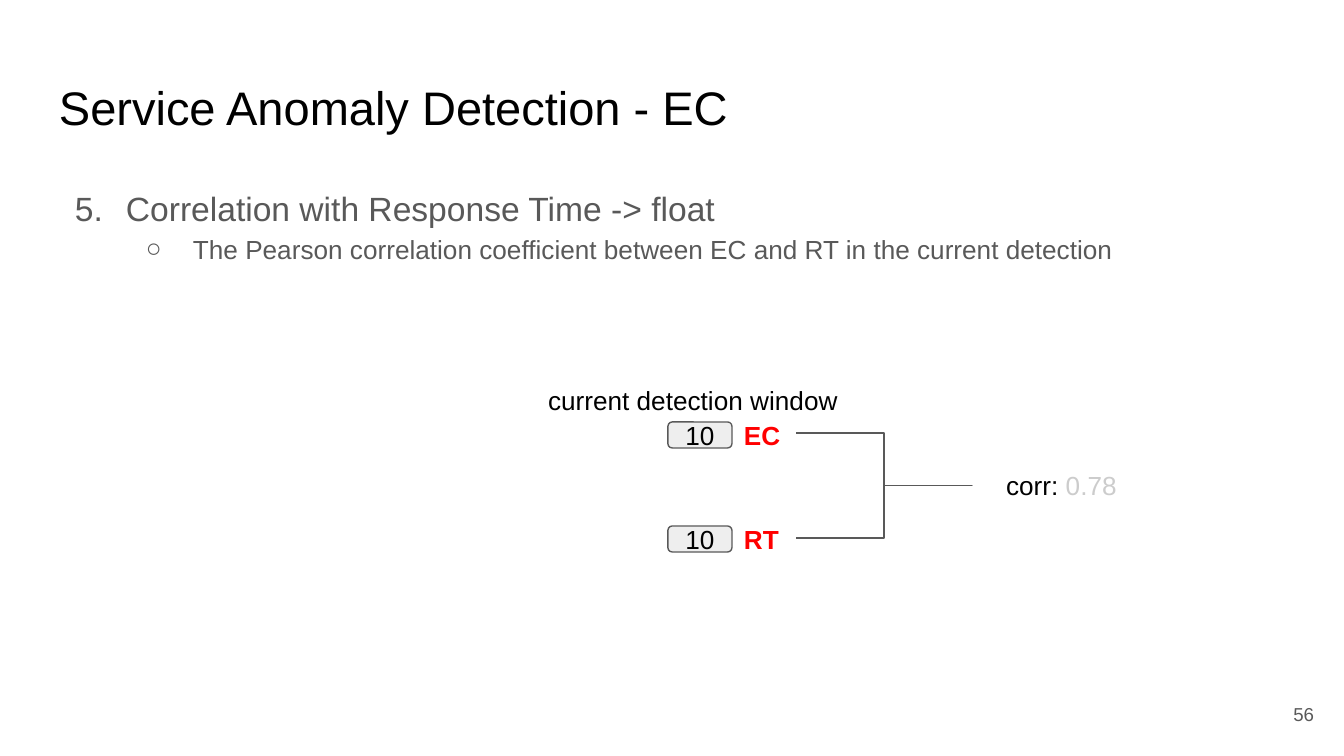
from lxml.etree import SubElement
from pptx import Presentation
from pptx.dml.color import RGBColor
from pptx.enum.shapes import MSO_SHAPE as Shape
from pptx.enum.text import MSO_ANCHOR as Anchor, PP_ALIGN as Align
from pptx.oxml.ns import qn
from pptx.util import Emu, Pt

BLACK, GRAY, PALE, BOX_FILL, RED = "000000", "595959", "CCCCCC", "EEEEEE", "FF0000"
FONT = "Arial"
SLIDE_W, SLIDE_H = 1344, 756
PADDING = 13

TITLE = "Service Anomaly Detection - EC"
# text, size, left margin, first-line indent, bullet tag, bullet attributes
OUTLINE = [
    ("Correlation with Response Time -> float", 18, 67, -51,
     "a:buAutoNum", {"type": "arabicPeriod", "startAt": "5"}),
    ("The Pearson correlation coefficient between EC and RT in the current detection",
     14, 134, -47, "a:buChar", {"char": "○"}),
]
METRICS = [("EC", "10"), ("RT", "10")]
METRIC_TOP, METRIC_STEP = 422, 104
WINDOW_LABEL = "current detection window"
CORRELATION = [("corr: ", BLACK), ("0.78", PALE)]
PAGE_NUMBER = "56"


def px(length):
    return Emu(round(length * 9144000 / SLIDE_W))


def color(value):
    return RGBColor.from_string(value)


def style(run, size, ink, bold=False):
    run.font.name = FONT
    run.font.size = Pt(size)
    run.font.bold = bold
    run.font.color.rgb = color(ink)


def set_padding(frame):
    frame.word_wrap = True
    frame.margin_left = frame.margin_right = px(PADDING)
    frame.margin_top = frame.margin_bottom = px(PADDING)


def write(frame, parts, size=14, bold=False, align=Align.LEFT, anchor=Anchor.TOP):
    """Fill the frame with one paragraph of (text, colour) runs."""
    set_padding(frame)
    frame.vertical_anchor = anchor
    paragraph = frame.paragraphs[0]
    paragraph.alignment = align
    for text, ink in parts:
        run = paragraph.add_run()
        run.text = text
        style(run, size, ink, bold)


def add_frame(shapes, *box):
    return shapes.add_textbox(*map(px, box)).text_frame


def add_outlined(shapes, kind, *box):
    shape = shapes.add_shape(kind, *map(px, box))
    shape.shadow.inherit = False
    shape.line.color.rgb = color(GRAY)
    shape.line.width = Pt(0.75)
    return shape


def add_bullet(paragraph, margin, indent, tag, attributes):
    properties = paragraph._p.get_or_add_pPr()
    properties.set("marL", str(px(margin)))
    properties.set("indent", str(px(indent)))
    bullet_color = SubElement(properties, qn("a:buClr"))
    SubElement(bullet_color, qn("a:srgbClr"), val=GRAY)
    SubElement(properties, qn("a:buFont"), typeface=FONT)
    SubElement(properties, qn(tag), attributes)


def add_outline(shapes):
    frame = add_frame(shapes, 46, 169, 1253, 503)
    set_padding(frame)
    for level, (text, size, margin, indent, tag, attributes) in enumerate(OUTLINE):
        paragraph = frame.add_paragraph() if level else frame.paragraphs[0]
        paragraph.text = text
        paragraph.level = level
        paragraph.line_spacing = 1.15
        add_bullet(paragraph, margin, indent, tag, attributes)
        style(paragraph.runs[0], size, GRAY)


def add_metric(slide, name, value, top):
    group = slide.shapes.add_group_shape().shapes
    write(add_frame(group, 731, top - 16, 71, 59), [(name, RED)], bold=True)
    box = add_outlined(group, Shape.ROUNDED_RECTANGLE, 668, top, 64, 26)
    box.fill.solid()
    box.fill.fore_color.rgb = color(BOX_FILL)
    write(box.text_frame, [(value, BLACK)], align=Align.CENTER, anchor=Anchor.MIDDLE)


def add_bracket(shapes):
    bracket = add_outlined(shapes, Shape.LEFT_BRACE, 796, 433, 176, 105)
    bracket.fill.background()
    bracket.rotation = 180
    bracket.adjustments[0] = 0
    bracket.adjustments[1] = 0.5


def main():
    deck = Presentation()
    deck.slide_width, deck.slide_height = px(SLIDE_W), px(SLIDE_H)
    slide = deck.slides.add_slide(deck.slide_layouts[6])
    shapes = slide.shapes

    write(add_frame(shapes, 46, 66, 1253, 85), [(TITLE, BLACK)], size=25.2)
    add_outline(shapes)
    write(add_frame(shapes, 1246, 685, 81, 58), [(PAGE_NUMBER, GRAY)], size=10,
          align=Align.RIGHT, anchor=Anchor.MIDDLE)
    write(add_frame(shapes, 535, 371, 339, 59), [(WINDOW_LABEL, BLACK)])
    write(add_frame(shapes, 993, 456, 141, 59), CORRELATION)
    for row, (name, value) in enumerate(METRICS):
        add_metric(slide, name, value, METRIC_TOP + row * METRIC_STEP)
    add_bracket(shapes)

    deck.save("out.pptx")


if __name__ == "__main__":
    main()
